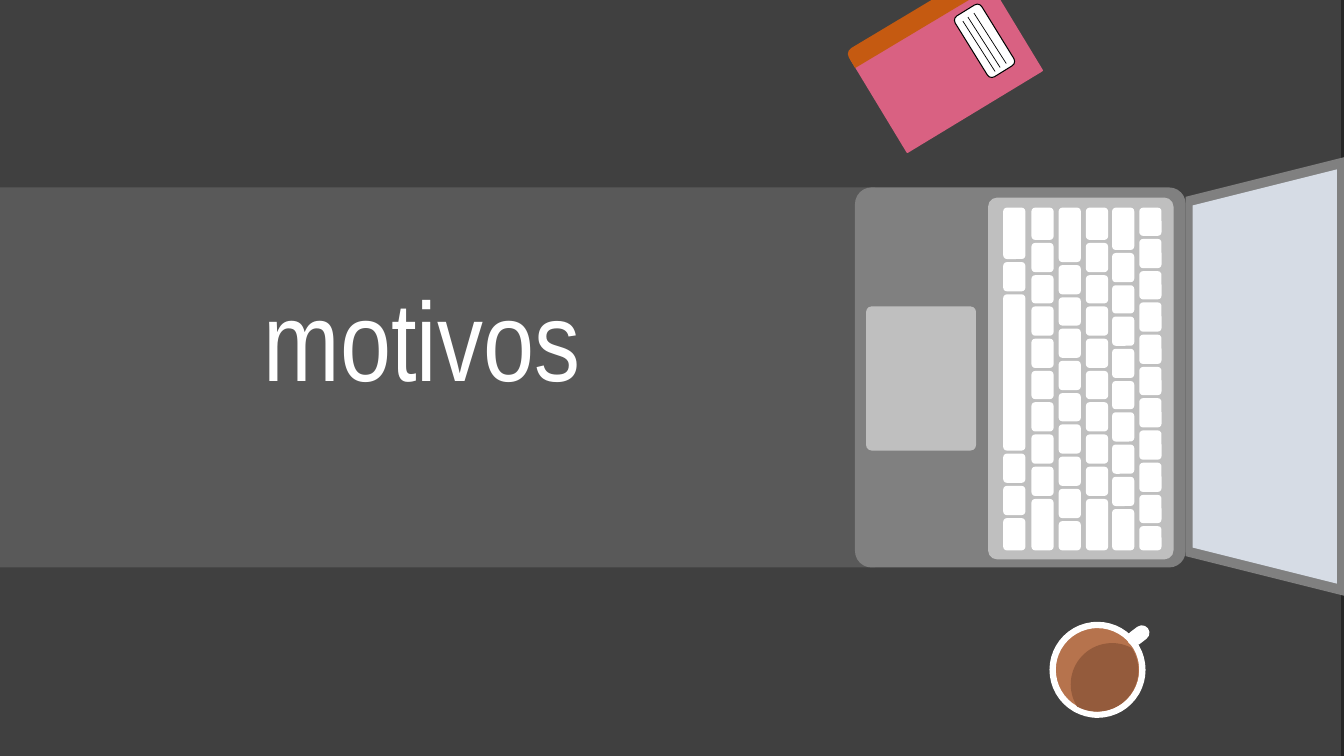
import math

import lxml.etree
import pptx
import pptx.dml.color
import pptx.enum.shapes
import pptx.enum.text
import pptx.oxml.ns
import pptx.util

RGB = pptx.dml.color.RGBColor
SHAPE = pptx.enum.shapes.MSO_SHAPE

EDGE = RGB(0x26, 0x26, 0x26)
DESK = RGB(0x40, 0x40, 0x40)
BAND = RGB(0x59, 0x59, 0x59)
CASE = RGB(0x80, 0x80, 0x80)
PANEL = RGB(0xBF, 0xBF, 0xBF)
SCREEN = RGB(0xD6, 0xDC, 0xE5)
COFFEE = RGB(0xB6, 0x73, 0x4D)
COFFEE_SHADE = RGB(0x94, 0x5B, 0x3C)
COVER = RGB(0xD9, 0x61, 0x82)
SPINE = RGB(0xC5, 0x5A, 0x11)
WHITE = RGB(0xFF, 0xFF, 0xFF)
BLACK = RGB(0x00, 0x00, 0x00)

PX = 9144
KEY_TOP, KEY_BOTTOM, KEY_WIDTH = 206, 546, 22
KEY_PITCH, KEY_GAP = 31.7, 3
KEY_COLUMNS = [
    (1130, 237, [1] * 9),
    (1103, 251, [1] * 8),
    (1077, 241, [1] * 8),
    (1050, 263, [1] * 8),
    (1023, 241, [1] * 8),
    (995, 260, [1, 5, 1, 1]),
]


class Canvas:
    font = "Arial Narrow"

    def __init__(self, slide):
        self.slide = slide

    def background(self, color):
        fill = self.slide.background.fill
        fill.solid()
        fill.fore_color.rgb = color

    def paint(self, shape, color, line=None, weight=0):
        shape.shadow.inherit = False
        shape.fill.solid()
        shape.fill.fore_color.rgb = color
        if line is None:
            shape.line.fill.background()
        else:
            shape.line.color.rgb = line
            shape.line.width = pptx.util.Pt(weight)

    def shape(self, kind, box, color, adjust=(), rotation=0, line=None, weight=0):
        shape = self.slide.shapes.add_shape(kind, *(n * PX for n in box))
        for index, value in enumerate(adjust):
            shape.adjustments[index] = value
        shape.rotation = rotation
        self.paint(shape, color, line, weight)

    def outline(self, points, color):
        corners = [(round(x * PX), round(y * PX)) for x, y in points]
        builder = self.slide.shapes.build_freeform(*corners[0])
        builder.add_line_segments(corners[1:], close=True)
        self.paint(builder.convert_to_shape(), color)

    def line(self, start, end, color, weight):
        line = self.slide.shapes.add_connector(
            pptx.enum.shapes.MSO_CONNECTOR.STRAIGHT, *(n * PX for n in start + end))
        line.line.color.rgb = color
        line.line.width = pptx.util.Pt(weight)
        lxml.etree.SubElement(line._element.spPr, pptx.oxml.ns.qn("a:effectLst"))

    def text(self, box, words, size, color):
        frame = self.slide.shapes.add_textbox(*(n * PX for n in box)).text_frame
        frame.word_wrap = True
        frame.auto_size = pptx.enum.text.MSO_AUTO_SIZE.SHAPE_TO_FIT_TEXT
        paragraph = frame.paragraphs[0]
        paragraph.text = words
        paragraph.alignment = pptx.enum.text.PP_ALIGN.CENTER
        paragraph.font.name = self.font
        paragraph.font.size = pptx.util.Pt(size)
        paragraph.font.color.rgb = color


def draw_keys(canvas):
    for left, second_top, spans in KEY_COLUMNS:
        tops, bottoms = [KEY_TOP], [second_top - KEY_GAP]
        slot = 0
        for span in spans:
            tops.append(second_top + round(slot * KEY_PITCH))
            slot += span
            bottoms.append(second_top + round(slot * KEY_PITCH) - KEY_GAP)
        tops.append(second_top + round(slot * KEY_PITCH))
        bottoms.append(KEY_BOTTOM)
        for top, bottom in zip(tops, bottoms):
            canvas.shape(SHAPE.ROUNDED_RECTANGLE,
                         (left, top, KEY_WIDTH, bottom - top), WHITE)


def draw_laptop(canvas):
    rounded = SHAPE.ROUNDED_RECTANGLE
    canvas.shape(rounded, (848, 186, 328, 377), CASE, [0.05])
    canvas.shape(rounded, (980, 196, 184, 359), PANEL, [0.05])
    canvas.shape(rounded, (859, 304, 109, 143), PANEL, [0.05])
    draw_keys(canvas)
    canvas.shape(SHAPE.TRAPEZOID, (1037, 295, 435, 157), CASE, rotation=270)
    canvas.shape(SHAPE.TRAPEZOID, (1049, 302, 411, 143), SCREEN, rotation=270)


def draw_cup(canvas):
    canvas.shape(SHAPE.OVAL, (1044, 620, 89, 89), COFFEE, line=WHITE, weight=4.5)
    radius, steps = 41, 32
    near, far = (1088, 665), (1103, 679)
    half = math.acos(math.dist(near, far) / 2 / radius)
    axis = math.atan2(far[1] - near[1], far[0] - near[0])
    shade = []
    for (x, y), middle in ((near, axis), (far, axis + math.pi)):
        for step in range(steps):
            angle = middle - half + 2 * half * step / steps
            shade.append((x + radius * math.cos(angle), y + radius * math.sin(angle)))
    canvas.outline(shade, COFFEE_SHADE)
    canvas.shape(SHAPE.ROUNDED_RECTANGLE, (1117, 623, 24, 15), WHITE, [0.5], 323.1)


def draw_notebook(canvas):
    rounded = SHAPE.ROUNDED_RECTANGLE
    canvas.shape(rounded, (860, 10, 158, 109), COVER, [0.01], 328.8)
    canvas.shape(SHAPE.ROUND_2_SAME_RECTANGLE, (832, 9, 159, 19), SPINE, [0.36, 0], 329.1)
    canvas.shape(rounded, (941, 25, 71, 31), WHITE, rotation=58.3, line=BLACK, weight=0.75)
    for x, y in ((966, 13), (960, 17), (955, 21)):
        canvas.line((x, y), (x + 32, y + 50), BLACK, 0.5)


def main():
    deck = pptx.Presentation()
    deck.slide_width, deck.slide_height = 1333 * PX, 750 * PX
    canvas = Canvas(deck.slides.add_slide(deck.slide_layouts[6]))
    canvas.background(EDGE)
    canvas.shape(SHAPE.RECTANGLE, (-3, 0, 1333, 752), DESK)
    canvas.shape(SHAPE.RECTANGLE, (0, 186, 868, 377), BAND)
    canvas.text((22, 262, 793, 215), "motivos", 80, WHITE)
    draw_laptop(canvas)
    draw_cup(canvas)
    draw_notebook(canvas)
    deck.save("out.pptx")


if __name__ == "__main__":
    main()
